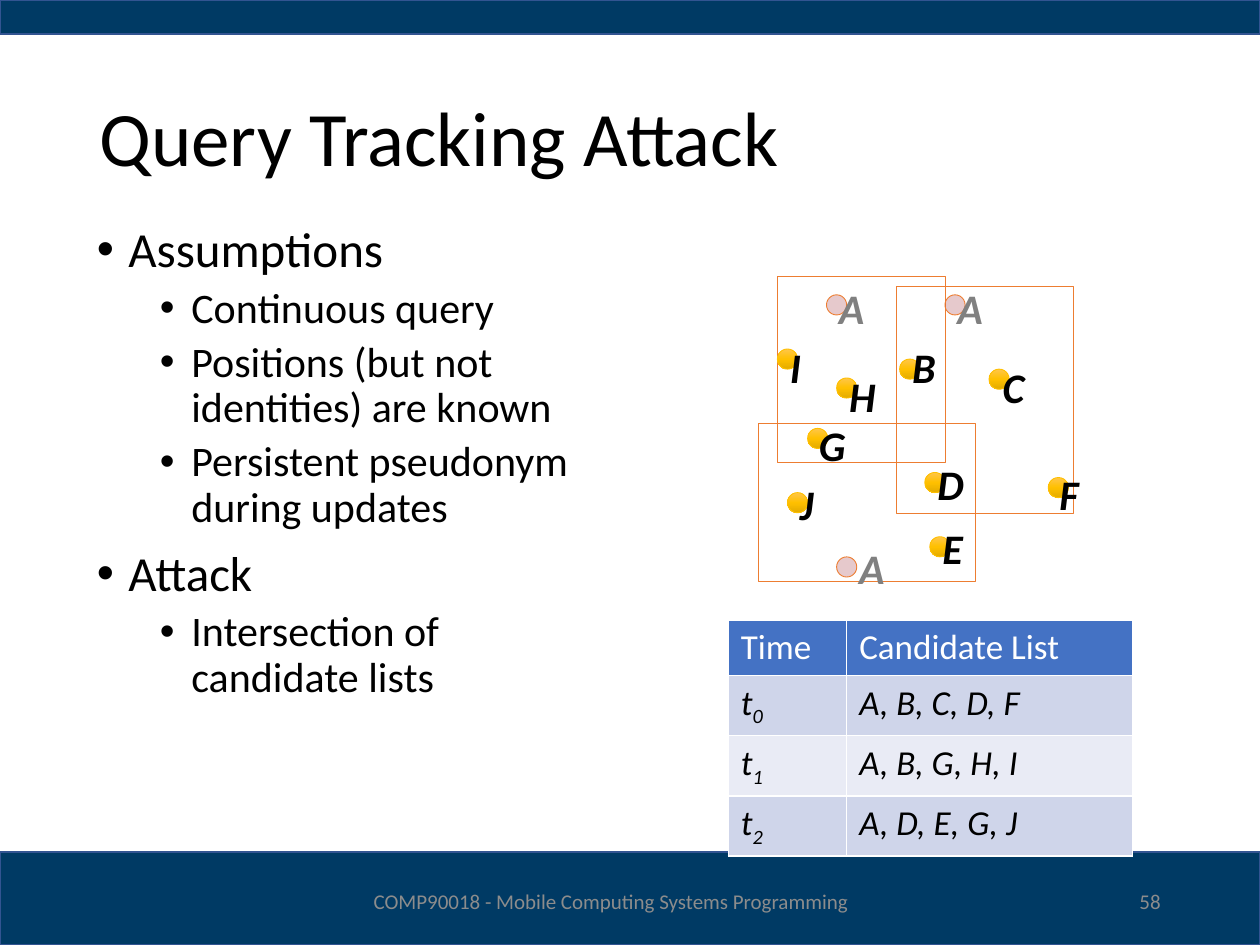
from copy import deepcopy

from lxml.etree import SubElement
from pptx import Presentation
from pptx.dml.color import RGBColor
from pptx.enum.shapes import MSO_SHAPE as Shape
from pptx.enum.text import MSO_ANCHOR as Anchor, PP_ALIGN as Align
from pptx.oxml.ns import qn
from pptx.util import Inches, Pt

BLACK = RGBColor(0x00, 0x00, 0x00)
WHITE = RGBColor(0xFF, 0xFF, 0xFF)
GREY = RGBColor(0x80, 0x80, 0x80)
FOOTER_GREY = RGBColor(0x8C, 0x8C, 0x8C)
NAVY = RGBColor(0x00, 0x3A, 0x64)
NAVY_LINE = RGBColor(0x32, 0x54, 0x91)
ORANGE = RGBColor(0xED, 0x7D, 0x31)
RED = RGBColor(0x9F, 0x29, 0x36)
GOLD = RGBColor(0xFF, 0xC0, 0x00)
GOLD_LIGHT = RGBColor(0xFF, 0xC6, 0x4B)
GOLD_DARK = RGBColor(0xE3, 0xAB, 0x00)
HEADER_BLUE = RGBColor(0x44, 0x72, 0xC4)
BAND_DARK = RGBColor(0xCF, 0xD5, 0xEA)
BAND_LIGHT = RGBColor(0xE9, 0xEB, 0xF5)

DOT_SIZE = 0.16
LABEL_HEIGHT = 0.5


class SlideBuilder:
    """Holds the text style and the slide being built."""

    font_name = "Calibri"

    def __init__(self, slide):
        self.slide = slide

    def style(self, font, size, color=BLACK, **extra):
        values = {"name": self.font_name, "size": Pt(size), **extra}
        for name, value in values.items():
            setattr(font, name, value)
        font.color.rgb = color

    def title(self, text, *box):
        title = self.slide.shapes.title
        title.left, title.top, title.width, title.height = map(Inches, box)
        title.text_frame.text = text
        title.text_frame.vertical_anchor = Anchor.MIDDLE
        paragraph = title.text_frame.paragraphs[0]
        paragraph.alignment = Align.LEFT
        paragraph.line_spacing = 0.9
        self.style(paragraph.font, 44)

    def shape(self, kind, box, line, line_width, fill=None):
        shape = self.slide.shapes.add_shape(kind, *map(Inches, box))
        shape.shadow.inherit = False
        shape.line.color.rgb = line
        shape.line.width = Pt(line_width)
        if fill is None:
            shape.fill.background()
        else:
            shape.fill.solid()
            shape.fill.fore_color.rgb = fill
        return shape

    def text(self, text, box, size, color=BLACK, align=Align.LEFT,
             anchor=Anchor.TOP, wrap=True, **extra):
        text_box = self.slide.shapes.add_textbox(*map(Inches, box))
        frame = text_box.text_frame
        frame.word_wrap = wrap
        frame.vertical_anchor = anchor
        paragraph = frame.paragraphs[0]
        paragraph.text = text
        paragraph.alignment = align
        self.style(paragraph.font, size, color, **extra)

    def bullets(self, items, *box):
        frame = self.slide.shapes.add_textbox(*map(Inches, box)).text_frame
        frame.word_wrap = True
        for index, (level, text) in enumerate(items):
            paragraph = frame.add_paragraph() if index else frame.paragraphs[0]
            paragraph.text = text
            paragraph.level = level
            paragraph.line_spacing = 0.9
            if index:
                paragraph.space_before = Pt(5 if level else 10)
            properties = paragraph._p.get_or_add_pPr()
            properties.set("marL", str(Inches(0.25 + 0.5 * level)))
            properties.set("indent", str(Inches(-0.25)))
            SubElement(properties, qn("a:buFont"), typeface="Arial")
            SubElement(properties, qn("a:buChar"), char="•")
            self.style(paragraph.font, 24 if level else 28)

    def gold_dot(self, left, top):
        dot = self.shape(Shape.OVAL, (left, top, DOT_SIZE, DOT_SIZE), GOLD, 0.5)
        dot.fill.gradient()
        dot.fill.gradient_angle = 270
        stop_list = dot._element.spPr.find(qn("a:gradFill")).find(qn("a:gsLst"))
        stop_list.append(deepcopy(stop_list[0]))
        colors = (GOLD_LIGHT, GOLD, GOLD_DARK)
        for index, (stop, color) in enumerate(zip(dot.fill.gradient_stops, colors)):
            stop.position = index / 2
            stop.color.rgb = color

    def faded_dot(self, left, top):
        dot = self.shape(Shape.OVAL, (left, top, DOT_SIZE, DOT_SIZE), ORANGE, 0.5, RED)
        color = dot._element.spPr.find(qn("a:solidFill"))[0]
        SubElement(color, qn("a:alpha"), val="25000")

    def user(self, name, dot, label, faded=False):
        (self.faded_dot if faded else self.gold_dot)(*dot)
        self.text(name, (*label, 0.45, LABEL_HEIGHT), 24, GREY if faded else BLACK,
                  wrap=False, bold=True, italic=True)

    def cell(self, cell, parts, fill, color, italic):
        """Fill one cell; every second part of the text is a subscript."""
        properties = cell._tc.get_or_add_tcPr()
        for side in ("lnL", "lnR", "lnT", "lnB"):
            border = SubElement(properties, qn(f"a:{side}"), w=str(Pt(1)))
            solid = SubElement(border, qn("a:solidFill"))
            SubElement(solid, qn("a:srgbClr"), val=str(WHITE))
        cell.fill.solid()
        cell.fill.fore_color.rgb = fill
        for index, part in enumerate(parts):
            run = cell.text_frame.paragraphs[0].add_run()
            run.text = part
            self.style(run.font, 20, color, bold=False, italic=italic)
            if index % 2:
                run._r.get_or_add_rPr().set("baseline", "-25000")

    def table(self, rows, left, top, widths, row_height):
        box = (left, top, sum(widths), row_height * len(rows))
        frame = self.slide.shapes.add_table(len(rows), len(widths), *map(Inches, box))
        for column, width in zip(frame.table.columns, widths):
            column.width = Inches(width)
        for row_index, row in enumerate(rows):
            header = row_index == 0
            band = BAND_DARK if row_index % 2 else BAND_LIGHT
            for column_index, parts in enumerate(row):
                self.cell(frame.table.cell(row_index, column_index), parts,
                          HEADER_BLUE if header else band,
                          WHITE if header else BLACK, not header)


def main():
    presentation = Presentation()
    presentation.slide_width, presentation.slide_height = Inches(10), Inches(7.5)
    builder = SlideBuilder(presentation.slides.add_slide(presentation.slide_layouts[5]))

    # Bars and title
    for top, height in ((6.76, 0.74), (0, 0.27)):
        builder.shape(Shape.RECTANGLE, (0, top, 10, height), NAVY_LINE, 1, NAVY)
    builder.title("Query Tracking Attack", 0.69, 0.4, 8.62, 1.45)

    # Candidate lists over time
    candidates = ("A, B, C, D, F", "A, B, G, H, I", "A, D, E, G, J")
    rows = [(["Time"], ["Candidate List"])]
    rows += [(["t", str(time)], [names]) for time, names in enumerate(candidates)]
    builder.table(rows, 5.78, 4.92, (0.94, 2.27), 0.41)

    # Assumptions and attack
    builder.bullets([
        (0, "Assumptions"),
        (1, "Continuous query"),
        (1, "Positions (but not identities) are known"),
        (1, "Persistent pseudonym during updates"),
        (0, "Attack"),
        (1, "Intersection of candidate lists"),
    ], 0.67, 1.74, 4.25, 5)

    # Cloaking regions
    for region in ((7.11, 2.27, 1.41, 1.8), (6.17, 2.19, 1.33, 1.48),
                   (6.02, 3.36, 1.72, 1.25)):
        builder.shape(Shape.RECTANGLE, region, ORANGE, 0.25)

    # Users: dot position, label position
    for name, dot, label in (
        ("B", (7.14, 2.85), (7.14, 2.66)),
        ("C", (7.85, 2.93), (7.86, 2.82)),
        ("D", (7.34, 3.75), (7.34, 3.59)),
        ("E", (7.38, 4.26), (7.38, 4.1)),
        ("F", (8.32, 3.79), (8.31, 3.67)),
        ("G", (6.41, 3.4), (6.4, 3.28)),
        ("H", (6.64, 3), (6.64, 2.89)),
        ("J", (6.25, 3.91), (6.25, 3.75)),
        ("I", (6.17, 2.77), (6.17, 2.66)),
    ):
        builder.user(name, dot, label)

    # Successive positions of the tracked user
    for dot, label in (((6.56, 2.34), (6.56, 2.19)), ((7.5, 2.34), (7.5, 2.19)),
                       ((6.64, 4.42), (6.72, 4.26))):
        builder.user("A", dot, label, faded=True)

    # Footer
    builder.text("COMP90018 - Mobile Computing Systems Programming",
                 (2.63, 6.95, 4.44, 0.4), 12, FOOTER_GREY, Align.CENTER, Anchor.MIDDLE)
    builder.text("58", (7.06, 6.95, 2.25, 0.4), 12, FOOTER_GREY, Align.RIGHT, Anchor.MIDDLE)

    presentation.save("out.pptx")


if __name__ == "__main__":
    main()
